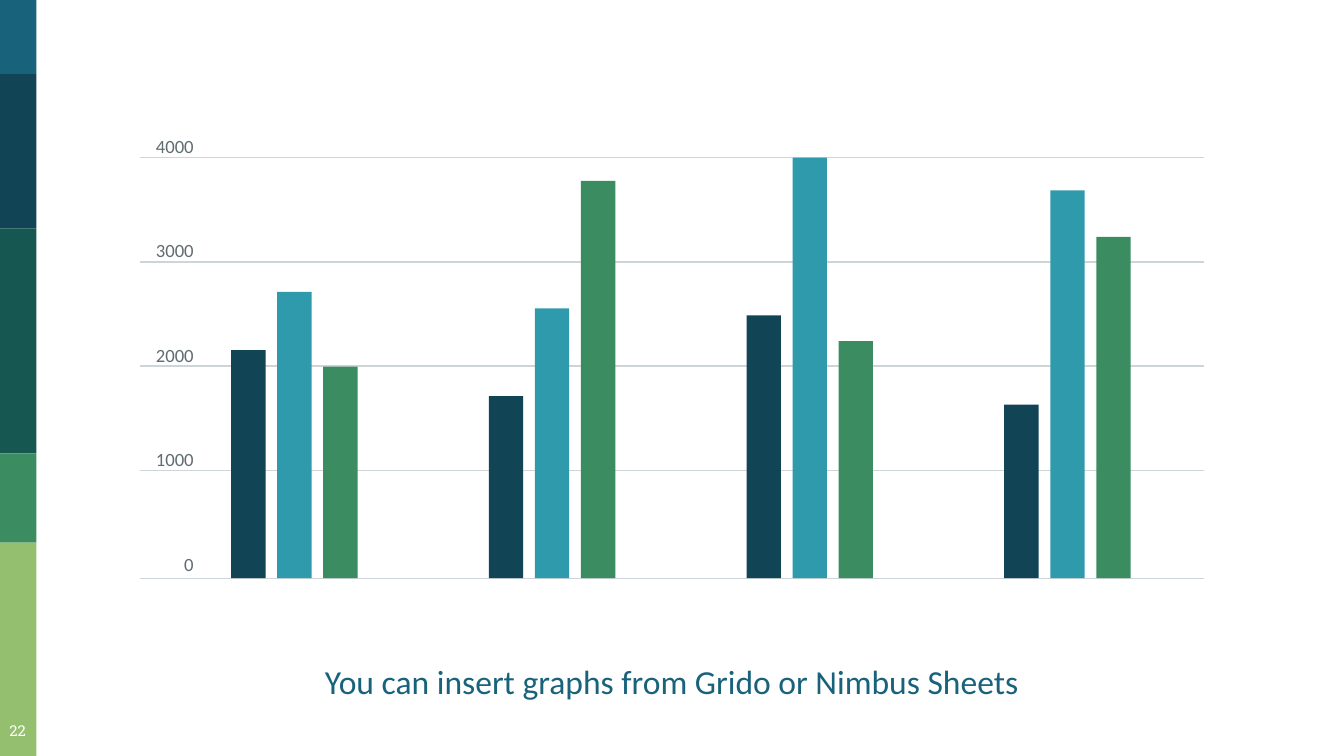
from dataclasses import dataclass

from lxml import etree
from pptx import Presentation
from pptx import util as u
from pptx.dml.color import RGBColor
from pptx.enum import shapes as sh, text as tx
from pptx.oxml.ns import qn


@dataclass(frozen=True)
class Theme:
    blue: str = "18637B"
    navy: str = "114454"
    pine: str = "165751"
    green: str = "3B8D61"
    lime: str = "94BF6E"
    teal: str = "309AAD"
    rule: str = "CED5D8"
    grey: str = "5F6C70"
    white: str = "FFFFFF"
    sans: str = "Calibri"
    slab: str = "Roboto Slab"
    body: float = 18
    axis: float = 10
    page: float = 8


@dataclass(frozen=True)
class Box:
    x: float
    y: float
    w: float
    h: float

    def emu(self) -> list:
        return [u.Cm(v) for v in (self.x, self.y, self.w, self.h)]


@dataclass(frozen=True)
class Band:
    top: float
    tint: str


@dataclass(frozen=True)
class Group:
    tall: tuple


T = Theme()
WIDE, HIGH = 25.4, 14.29

# Side stripe, from top to bottom
BANDS = [Band(0, T.blue), Band(1.4, T.navy), Band(4.32, T.pine),
         Band(8.57, T.green), Band(10.26, T.lime)]
SIDE = 0.69

# Bar graph: heights in cm, one group of three bars each
GROUPS = [Group((4.31, 5.41, 4.0)), Group((3.44, 5.1, 7.51)),
          Group((4.97, 7.95, 4.48)), Group((3.28, 7.33, 6.45))]
TINTS = (T.navy, T.teal, T.green)
LEFT, RIGHT = 2.64, 22.76
TOP, STEP, BASE = 2.98, 1.97, 10.93
START, PITCH, NEXT, BAR = 4.37, 4.87, 0.87, 0.65


def block(slide, box: Box, tint: str) -> None:
    rect = slide.shapes.add_shape(sh.MSO_SHAPE.RECTANGLE, *box.emu())
    rect.shadow.inherit = False
    rect.fill.solid()
    rect.fill.fore_color.rgb = RGBColor.from_string(tint)
    rect.line.fill.background()


def rule(slide, y: float) -> None:
    line = slide.shapes.add_connector(
        sh.MSO_CONNECTOR.STRAIGHT, u.Cm(LEFT), u.Cm(y), u.Cm(RIGHT), u.Cm(y))
    line.line.color.rgb = RGBColor.from_string(T.rule)
    line.line.width = u.Pt(0.75)
    etree.SubElement(line._element.spPr, qn("a:effectLst"))


def frame(shape, inset: float):
    tf = shape.text_frame
    tf.word_wrap = True
    tf.auto_size = tx.MSO_AUTO_SIZE.NONE
    tf.vertical_anchor = tx.MSO_ANCHOR.TOP
    tf.margin_left = tf.margin_right = u.Cm(inset)
    tf.margin_top = tf.margin_bottom = u.Cm(inset)
    return tf


def write(para, words: str, font: str, size: float, tint: str,
          align, gap: float = 0) -> None:
    para.alignment = align
    para.space_before = u.Pt(gap)
    run = para.add_run()
    run.text = words
    run.font.name = font
    run.font.size = u.Pt(size)
    run.font.color.rgb = RGBColor.from_string(tint)


def stripe(slide) -> None:
    ends = [b.top for b in BANDS[1:]] + [HIGH]
    for band, end in zip(BANDS, ends):
        block(slide, Box(0, band.top, SIDE, end - band.top), band.tint)


def label(slide) -> None:
    body = slide.placeholders[1]
    body.left, body.top, body.width, body.height = Box(1.27, 12.24, 22.86, 1.45).emu()
    para = frame(body, 0.25).paragraphs[0]
    write(para, "You can insert graphs from Grido or Nimbus Sheets",
          T.sans, T.body, T.blue, tx.PP_ALIGN.CENTER, 3.6)
    # Plain line without bullet or indent
    ppr = para._p.get_or_add_pPr()
    ppr.set("marL", "0")
    ppr.set("indent", "0")
    etree.SubElement(ppr, qn("a:buNone"))


def page(slide) -> None:
    tf = frame(slide.shapes.add_textbox(*Box(-0.15, 13.39, 0.97, 0.9).emu()), 0.25)
    write(tf.paragraphs[0], "22", T.slab, T.page, T.white, tx.PP_ALIGN.CENTER)


def axis(slide) -> None:
    for y in [TOP + i * STEP for i in range(4)] + [BASE]:
        rule(slide, y)
    tf = frame(slide.shapes.add_textbox(*Box(LEFT, 2.54, 1.02, 8.4).emu()), 0)
    for i, mark in enumerate(range(4000, -1, -1000)):
        para = tf.add_paragraph() if i else tf.paragraphs[0]
        write(para, str(mark), T.sans, T.axis, T.grey,
              tx.PP_ALIGN.RIGHT, 44 if i else 0)


def bars(slide) -> None:
    for i, group in enumerate(GROUPS):
        for j, (tall, tint) in enumerate(zip(group.tall, TINTS)):
            x = START + i * PITCH + j * NEXT
            block(slide, Box(x, BASE - tall, BAR, tall), tint)


def main() -> None:
    deck = Presentation()
    deck.slide_width, deck.slide_height = u.Cm(WIDE), u.Cm(HIGH)
    slide = deck.slides.add_slide(deck.slide_layouts[1])
    title = slide.shapes.title._element
    title.getparent().remove(title)
    stripe(slide)
    label(slide)
    page(slide)
    axis(slide)
    bars(slide)
    deck.save("out.pptx")


if __name__ == "__main__":
    main()
